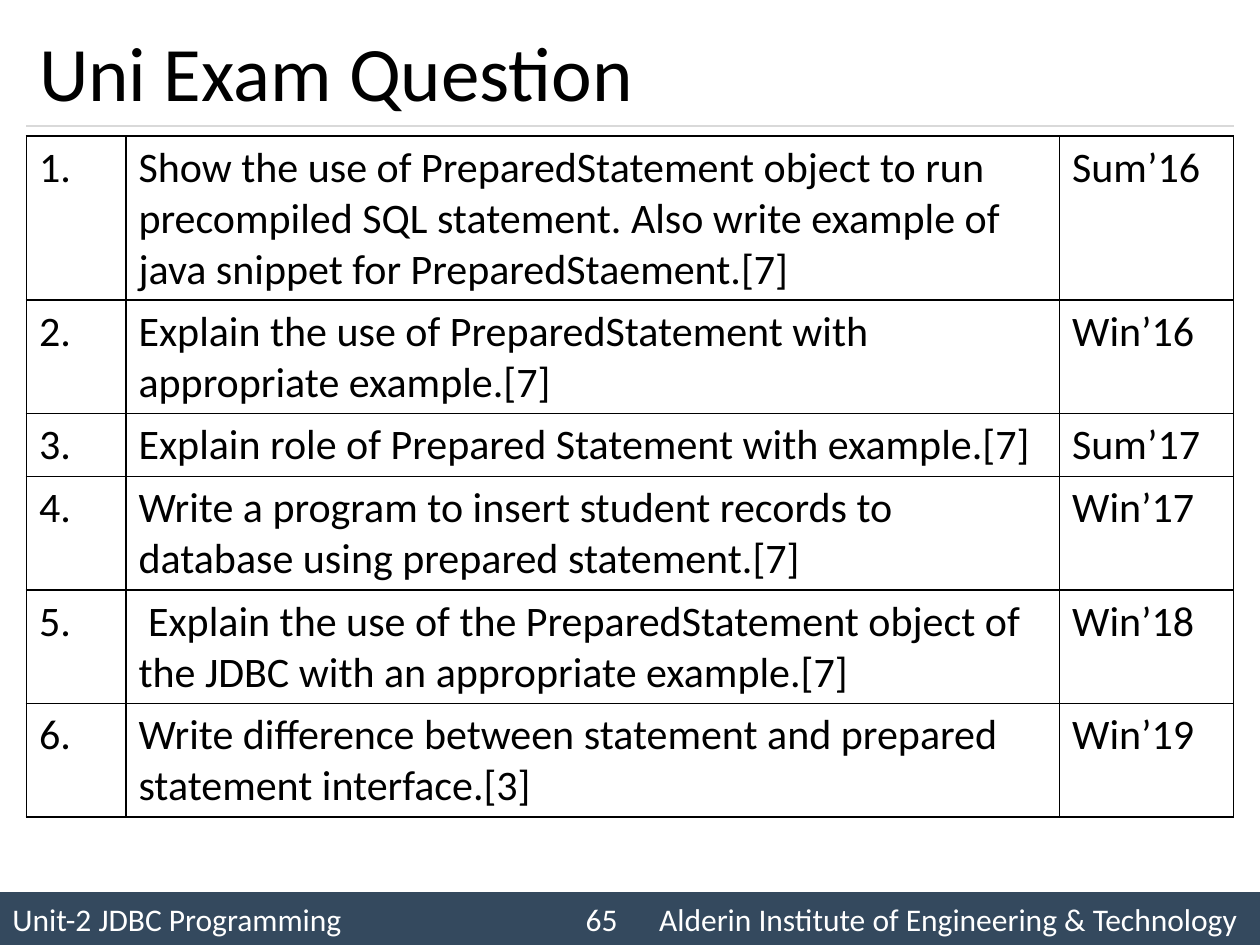
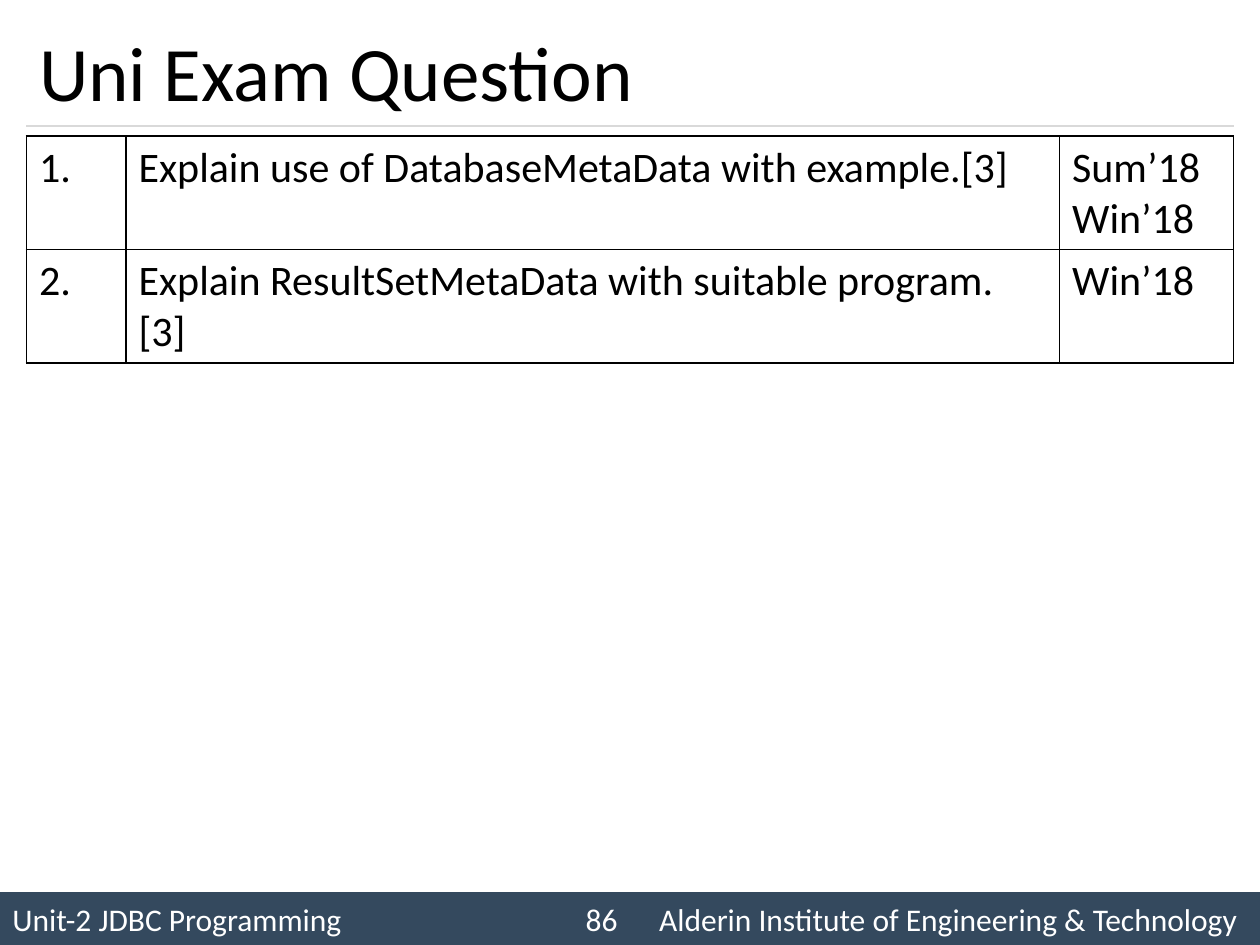
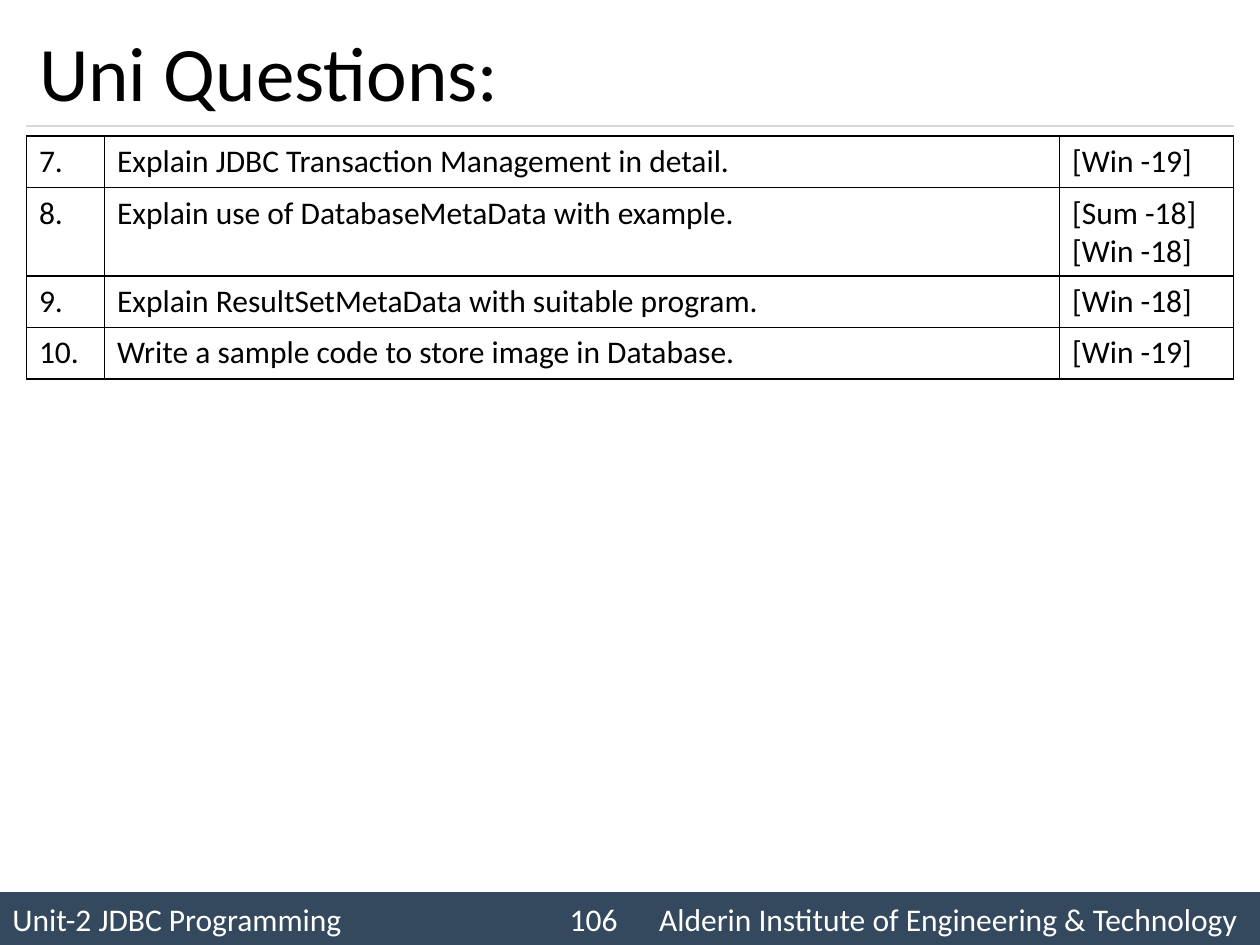
from dataclasses import dataclass

from lxml.etree import SubElement
from pptx import Presentation
from pptx.dml.color import RGBColor
from pptx.enum.shapes import MSO_CONNECTOR, MSO_SHAPE
from pptx.enum.text import MSO_ANCHOR, PP_ALIGN
from pptx.oxml.ns import qn
from pptx.util import Inches, Pt


@dataclass(frozen=True)
class Theme:
    font: str = "Calibri"
    black: RGBColor = RGBColor(0, 0, 0)
    white: RGBColor = RGBColor(255, 255, 255)
    band: RGBColor = RGBColor(0x34, 0x49, 0x5E)
    rule: RGBColor = RGBColor(0xD9, 0xD9, 0xD9)
    title_size: int = 44
    question_size: int = 24
    small_size: int = 18


theme = Theme()


def write_text(holder, text, size, color, align=PP_ALIGN.LEFT):
    holder.text_frame.text = text
    for paragraph in holder.text_frame.paragraphs:
        paragraph.alignment = align
        paragraph.font.name = theme.font
        paragraph.font.size = Pt(size)
        paragraph.font.color.rgb = color


def add_borders(cell):
    properties = cell._tc.get_or_add_tcPr()
    for side in ("a:lnL", "a:lnR", "a:lnT", "a:lnB"):
        line = SubElement(properties, qn(side), w=str(Pt(1)))
        fill = SubElement(line, qn("a:solidFill"))
        SubElement(fill, qn("a:srgbClr"), val=str(theme.black))


presentation = Presentation()
presentation.slide_width = Inches(10)
presentation.slide_height = Inches(7.5)

margin = Inches(0.21)
content_width = presentation.slide_width - 2 * margin
title_top = Inches(0.12)
rule_top = Inches(1)
table_top = Inches(1.08)
row_height = Inches(0.41)
term_width = Inches(1.38)
band_height = Inches(0.42)
band_top = presentation.slide_height - band_height
middle = presentation.slide_width // 2
page_width = Inches(0.83)

question_slides = [
    ("Uni Exam Question", "65", theme.question_size, 0.79, [
        ("1.", "Show the use of PreparedStatement object to run precompiled SQL statement. "
               "Also write example of java snippet for PreparedStaement.[7]", "Sum’16"),
        ("2.", "Explain the use of PreparedStatement with appropriate example.[7]", "Win’16"),
        ("3.", "Explain role of Prepared Statement with example.[7]", "Sum’17"),
        ("4.", "Write a program to insert student records to database using prepared statement.[7]",
         "Win’17"),
        ("5.", " Explain the use of the PreparedStatement object of the JDBC "
               "with an appropriate example.[7]", "Win’18"),
        ("6.", "Write difference between statement and prepared statement interface.[3]", "Win’19"),
    ]),
    ("Uni Exam Question", "86", theme.question_size, 0.79, [
        ("1.", "Explain use of DatabaseMetaData with example.[3]", "Sum’18\nWin’18"),
        ("2.", "Explain ResultSetMetaData with suitable program. [3]", "Win’18"),
    ]),
    ("Uni Questions:", "106", theme.small_size, 0.62, [
        ("7.", "Explain JDBC Transaction Management in detail.", "[Win -19]"),
        ("8.", "Explain use of DatabaseMetaData with example.", "[Sum -18]\n[Win -18]"),
        ("9.", "Explain ResultSetMetaData with suitable program.", "[Win -18]"),
        ("10.", "Write a sample code to store image in Database.", "[Win -19]"),
    ]),
]

for title_text, page, size, number_inches, questions in question_slides:
    slide = presentation.slides.add_slide(presentation.slide_layouts[5])

    band = slide.shapes.add_shape(
        MSO_SHAPE.RECTANGLE, 0, band_top, presentation.slide_width, band_height)
    band.shadow.inherit = False
    band.fill.solid()
    band.fill.fore_color.rgb = theme.band
    band.line.fill.background()
    band.text_frame.vertical_anchor = MSO_ANCHOR.MIDDLE
    write_text(band, "Unit-2 JDBC Programming", theme.small_size, theme.white)

    for left, width, text in (
        (middle - page_width, page_width, page),
        (middle, middle - Inches(0.08), "Alderin Institute of Engineering & Technology"),
    ):
        label = slide.shapes.add_textbox(left, band_top, width, band_height)
        label.text_frame.word_wrap = True
        label.text_frame.margin_left = 0
        label.text_frame.vertical_anchor = MSO_ANCHOR.MIDDLE
        write_text(label, text, theme.small_size, theme.white, PP_ALIGN.RIGHT)

    rule = slide.shapes.add_connector(
        MSO_CONNECTOR.STRAIGHT, margin, rule_top, margin + content_width, rule_top)
    rule.line.color.rgb = theme.rule
    rule.line.width = Pt(0.75)
    SubElement(rule._element.spPr, qn("a:effectLst"))

    title = slide.shapes.title
    title.left, title.top = margin, title_top
    title.width, title.height = content_width, rule_top - title_top
    title.text_frame.vertical_anchor = MSO_ANCHOR.MIDDLE
    write_text(title, title_text, theme.title_size, theme.black)

    table = slide.shapes.add_table(
        len(questions), 3, margin, table_top, content_width, row_height * len(questions)).table
    table.first_row = False
    table.horz_banding = False
    number_width = Inches(number_inches)
    widths = (number_width, content_width - number_width - term_width, term_width)
    for column, width in zip(table.columns, widths):
        column.width = width
    for row, question in zip(table.rows, questions):
        for cell, text in zip(row.cells, question):
            add_borders(cell)
            cell.fill.background()
            write_text(cell, text, size, theme.black)

presentation.save("out.pptx")
